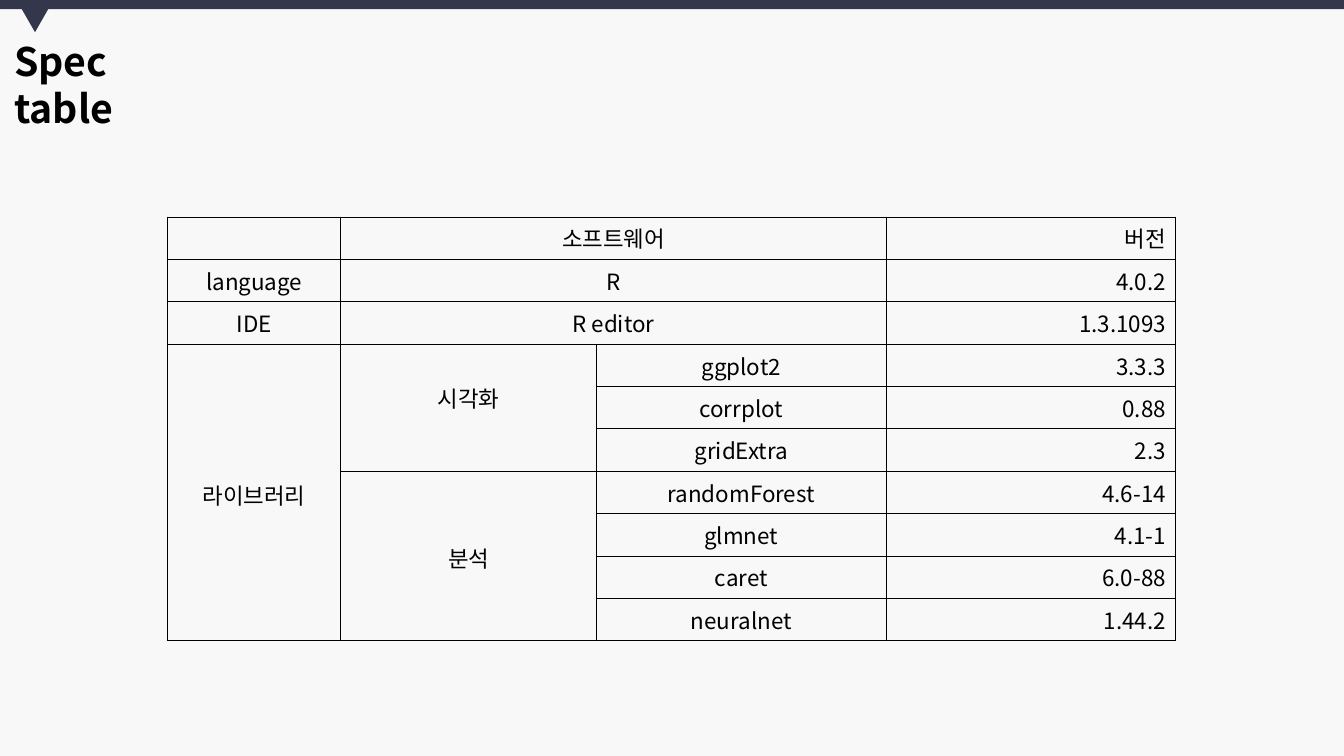
from lxml import etree
from pptx import Presentation
from pptx.dml.color import RGBColor
from pptx.enum.shapes import MSO_SHAPE
from pptx.enum.text import MSO_ANCHOR, MSO_AUTO_SIZE, PP_ALIGN
from pptx.oxml.ns import qn
from pptx.util import Pt

RECTANGLE, TRIANGLE = MSO_SHAPE.RECTANGLE, MSO_SHAPE.ISOSCELES_TRIANGLE
LEFT, CENTER, RIGHT = PP_ALIGN.LEFT, PP_ALIGN.CENTER, PP_ALIGN.RIGHT
TOP = MSO_ANCHOR.TOP
NO_AUTOFIT = MSO_AUTO_SIZE.NONE

FONT = "Noto Sans CJK KR"
COLORS = {"background": "F8F8F8", "header": "34364B", "ink": "000000"}
LINE_HEIGHT = 23.17  # one line of table text
ROW_HEIGHT = 28.55
COLUMN_WIDTHS = [124, 182.5, 207, 207]


def format_text(para, size, align, bold=False):
    para.alignment = align
    for span in para.runs:
        span.font.size = Pt(size)
        span.font.bold = bold
        span.font.name = FONT
        span.font.color.rgb = RGBColor.from_string(COLORS["ink"])
        east_asian = etree.SubElement(span.font._element, qn("a:ea"))
        east_asian.set("typeface", FONT)


def add_borders(cell):
    properties = cell._tc.get_or_add_tcPr()
    for index, side in enumerate(("lnL", "lnR", "lnT", "lnB")):
        line = etree.Element(qn(f"a:{side}"), w=str(Pt(0.75)))
        fill = etree.SubElement(line, qn("a:solidFill"))
        etree.SubElement(fill, qn("a:srgbClr"), val=COLORS["ink"])
        properties.insert(index, line)


deck = Presentation()
deck.slide_width, deck.slide_height = Pt(960), Pt(540)
page = deck.slides.add_slide(deck.slide_layouts[5])
page.background.fill.solid()
page.background.fill.fore_color.rgb = RGBColor.from_string(COLORS["background"])

# Header bar and pointer
for kind, left, top, width, height, angle in [
    (RECTANGLE, 0, 0, 960, 6.5, 0),
    (TRIANGLE, 15, 5.5, 20, 17.5, 180),
]:
    shape = page.shapes.add_shape(kind, Pt(left), Pt(top), Pt(width), Pt(height))
    shape.rotation = angle
    shape.shadow.inherit = False
    shape.fill.solid()
    shape.fill.fore_color.rgb = RGBColor.from_string(COLORS["header"])
    shape.line.fill.background()

# Title
title = page.shapes.title
title.left, title.top, title.width, title.height = Pt(3), Pt(23), Pt(147.5), Pt(75)
title.text_frame.text = "Spec table"
title.text_frame.word_wrap = True
title.text_frame.auto_size = NO_AUTOFIT
title.text_frame.vertical_anchor = TOP
format_text(title.text_frame.paragraphs[0], 28, LEFT, bold=True)

# Specification table
rows = [
    ("", "소프트웨어", "", "버전"),
    ("language", "R", "", "4.0.2"),
    ("IDE", "R editor", "", "1.3.1093"),
    ("라이브러리", "시각화", "ggplot2", "3.3.3"),
    ("", "", "corrplot", "0.88"),
    ("", "", "gridExtra", "2.3"),
    ("", "분석", "randomForest", "4.6-14"),
    ("", "", "glmnet", "4.1-1"),
    ("", "", "caret", "6.0-88"),
    ("", "", "neuralnet", "1.44.2"),
]
frame = page.shapes.add_table(
    len(rows), len(COLUMN_WIDTHS), Pt(119.5), Pt(155),
    Pt(sum(COLUMN_WIDTHS)), Pt(ROW_HEIGHT * len(rows)))
table = frame.table
table.first_row = False
table.horz_banding = False
for column, width in zip(table.columns, COLUMN_WIDTHS):
    column.width = Pt(width)

for row_index, texts in enumerate(rows):
    table.rows[row_index].height = Pt(ROW_HEIGHT)
    for column_index, text in enumerate(texts):
        cell = table.cell(row_index, column_index)
        cell.fill.background()
        add_borders(cell)
        cell.text_frame.text = text
        para = cell.text_frame.paragraphs[0]
        para.font.size = Pt(16)
        format_text(para, 16, RIGHT if column_index == 3 else CENTER)

# Merged cells: first row, first column, last row, last column, lines of drop
for top, left, bottom, right, drop in [
    (0, 1, 0, 2, 0),
    (1, 1, 1, 2, 0),
    (2, 1, 2, 2, 0),
    (3, 0, 9, 0, 4),
    (3, 1, 5, 1, 1),
    (6, 1, 9, 1, 2),
]:
    cell = table.cell(top, left)
    cell.merge(table.cell(bottom, right))
    cell.margin_top = Pt(3.6 + drop * LINE_HEIGHT)

deck.save("out.pptx")
